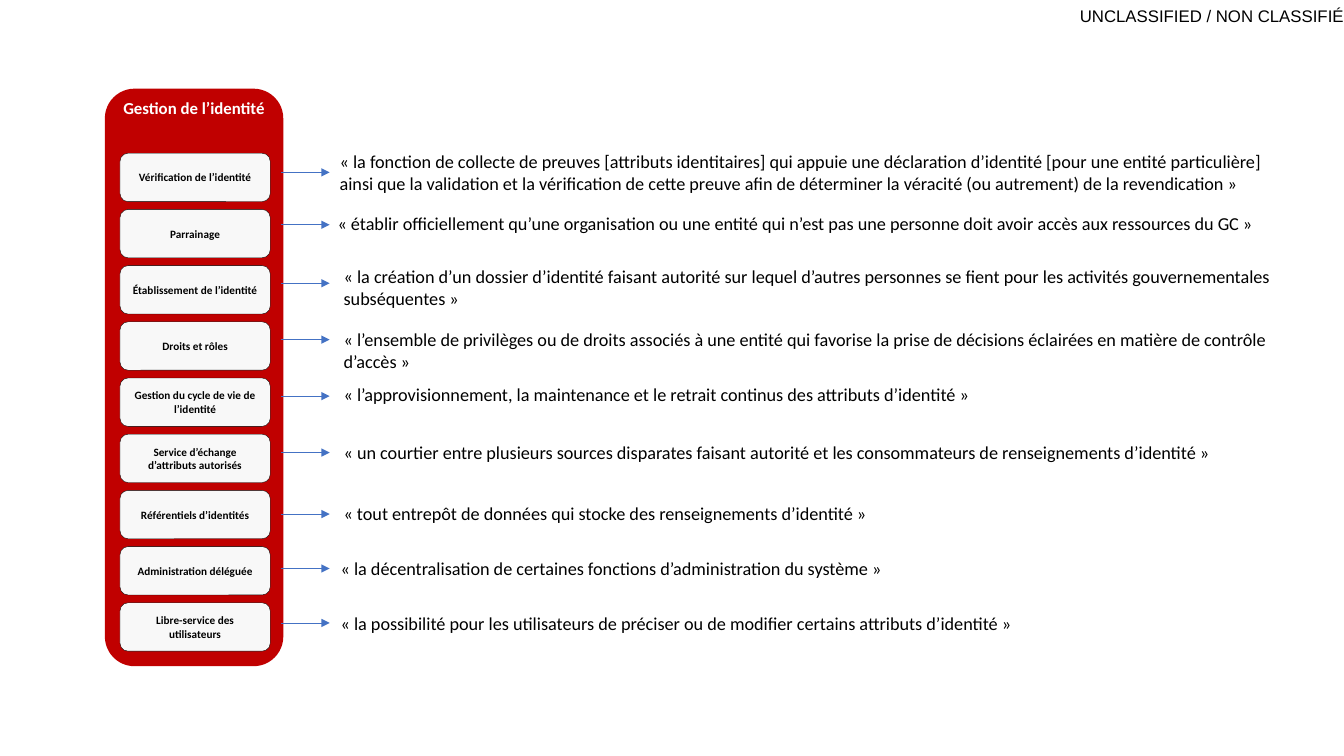
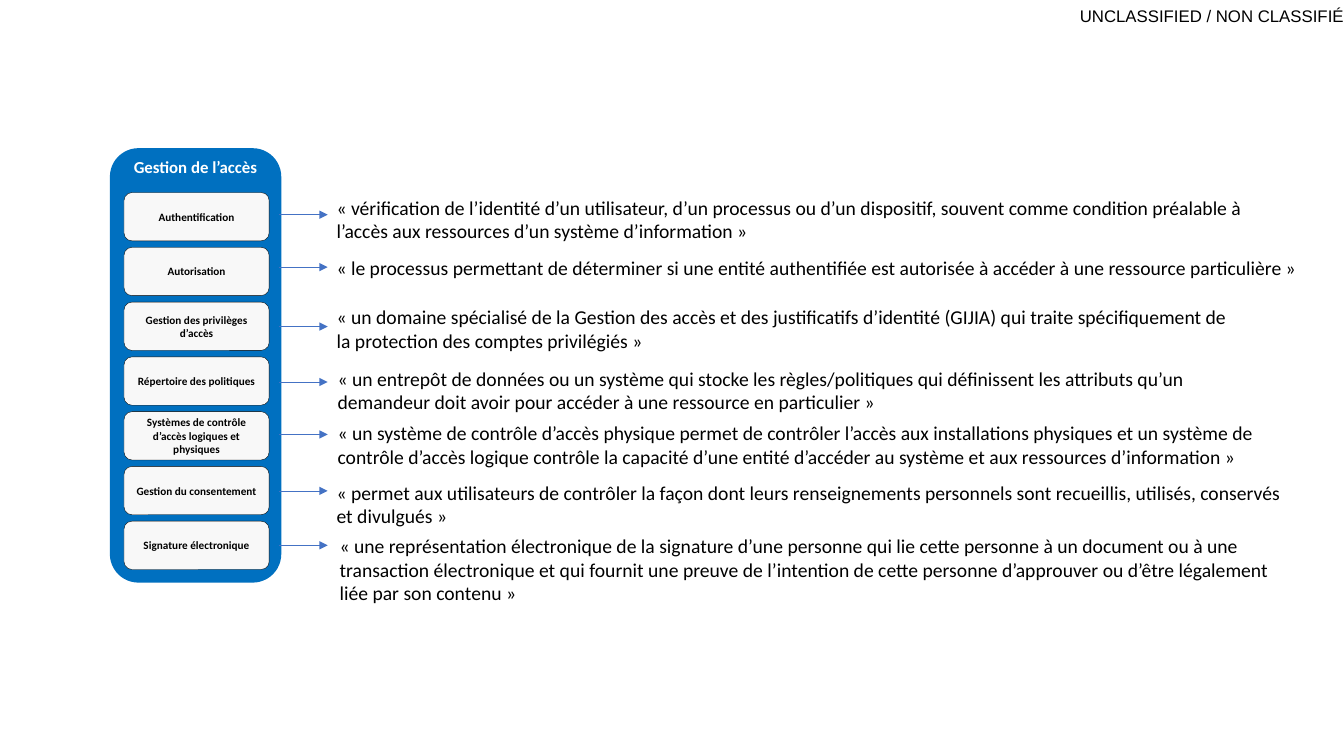
from lxml.etree import SubElement
from pptx import Presentation
from pptx.dml.color import RGBColor
from pptx.enum.shapes import MSO_CONNECTOR as CONNECTOR, MSO_SHAPE as SHAPE
from pptx.enum.text import MSO_ANCHOR as ANCHOR, MSO_AUTO_SIZE as AUTO_SIZE, PP_ALIGN as ALIGN
from pptx.oxml.ns import qn
from pptx.util import Inches, Pt

COLORS = {"black": "000000", "white": "FFFFFF", "box": "F8F8F8", "arrow": "4472C4",
          "identity": "C00000", "access": "0070C0"}
BOX_HEIGHT = 0.48
ARROW_LENGTH = 0.48
INSET = 0.1

# Each row: label, definition, number of lines, text left, top and width, arrow height.
PANELS = [
    {
        "title": "Gestion de l’identité", "color": "identity", "size": 13,
        "panel": (1.04, 0.88, 1.77, 5.73), "box_left": 1.19, "box_width": 1.49,
        "first_top": 1.52, "last_top": 5.98, "arrow_left": 2.79,
        "rows": [
            ("Vérification de l’identité",
             "la fonction de collecte de preuves [attributs identitaires] qui appuie une déclaration "
             "d’identité [pour une entité particulière] ainsi que la validation et la vérification de "
             "cette preuve afin de déterminer la véracité (ou autrement) de la revendication",
             2, 3.27, 1.44, 9.51, 1.71),
            ("Parrainage",
             "établir officiellement qu’une organisation ou une entité qui n’est pas une personne doit "
             "avoir accès aux ressources du GC",
             1, 3.25, 2.06, 9.44, 2.23),
            ("Établissement de l’identité",
             "la création d’un dossier d’identité faisant autorité sur lequel d’autres personnes se "
             "fient pour les activités gouvernementales subséquentes",
             2, 3.31, 2.58, 9.51, 2.81),
            ("Droits et rôles",
             "l’ensemble de privilèges ou de droits associés à une entité qui favorise la prise de "
             "décisions éclairées en matière de contrôle d’accès",
             2, 3.31, 3.21, 9.58, 3.37),
            ("Gestion du cycle de vie de l’identité",
             "l’approvisionnement, la maintenance et le retrait continus des attributs d’identité",
             1, 3.31, 3.75, 9.08, 3.93),
            ("Service d’échange d’attributs autorisés",
             "un courtier entre plusieurs sources disparates faisant autorité et les consommateurs de "
             "renseignements d’identité",
             1, 3.31, 4.33, 9.08, 4.49),
            ("Référentiels d’identités",
             "tout entrepôt de données qui stocke des renseignements d’identité",
             1, 3.31, 4.93, 6.67, 5.1),
            ("Administration déléguée",
             "la décentralisation de certaines fonctions d’administration du système",
             1, 3.28, 5.48, 9.08, 5.64),
            ("Libre-service des utilisateurs",
             "la possibilité pour les utilisateurs de préciser ou de modifier certains attributs d’identité",
             1, 3.28, 6.03, 9.08, 6.18),
        ],
    },
    {
        "title": "Gestion de l’accès", "color": "access", "size": 14,
        "panel": (1.09, 1.47, 1.7, 4.31), "box_left": 1.23, "box_width": 1.44,
        "first_top": 1.91, "last_top": 5.17, "arrow_left": 2.77,
        "rows": [
            ("Authentification",
             "vérification de l’identité d’un utilisateur, d’un processus ou d’un dispositif, souvent "
             "comme condition préalable à l’accès aux ressources d’un système d’information",
             2, 3.24, 1.89, 9.37, 2.13),
            ("Autorisation",
             "le processus permettant de déterminer si une entité authentifiée est autorisée à accéder "
             "à une ressource particulière",
             1, 3.24, 2.49, 10.03, 2.65),
            ("Gestion des privilèges d’accès",
             "un domaine spécialisé de la Gestion des accès et des justificatifs d’identité (GIJIA) qui "
             "traite spécifiquement de la protection des comptes privilégiés",
             2, 3.24, 2.98, 9.08, 3.24),
            ("Répertoire des politiques",
             "un entrepôt de données ou un système qui stocke les règles/politiques qui définissent les "
             "attributs qu’un demandeur doit avoir pour accéder à une ressource en particulier",
             2, 3.25, 3.59, 9.08, 3.79),
            ("Systèmes de contrôle d’accès logiques et physiques",
             "un système de contrôle d’accès physique permet de contrôler l’accès aux installations "
             "physiques et un système de contrôle d’accès logique contrôle la capacité d’une entité "
             "d’accéder au système et aux ressources d’information",
             2, 3.25, 4.13, 9.36, 4.31),
            ("Gestion du consentement",
             "permet aux utilisateurs de contrôler la façon dont leurs renseignements personnels sont "
             "recueillis, utilisés, conservés et divulgués",
             2, 3.24, 4.72, 9.67, 4.87),
            ("Signature électronique",
             "une représentation électronique de la signature d’une personne qui lie cette personne à "
             "un document ou à une transaction électronique et qui fournit une preuve de l’intention de "
             "cette personne d’approuver ou d’être légalement liée par son contenu",
             3, 3.27, 5.25, 9.67, 5.41),
        ],
    },
]


def write(shape, text, size, color="black", font="Calibri", bold=False, align=ALIGN.LEFT,
          anchor=ANCHOR.TOP, insets=(INSET, INSET / 2)):
    """Fill a shape with one paragraph of wrapped text."""
    frame = shape.text_frame
    frame.word_wrap = True
    frame.vertical_anchor = anchor
    frame.margin_left = frame.margin_right = Inches(insets[0])
    frame.margin_top = frame.margin_bottom = Inches(insets[1])
    paragraph = frame.paragraphs[0]
    paragraph.text = text
    paragraph.alignment = align
    paragraph.font.name, paragraph.font.size, paragraph.font.bold = font, Pt(size), bold
    paragraph.font.color.rgb = RGBColor.from_string(COLORS[color])


def add_round_box(slide, place, fill, outline=None):
    """Add a flat rounded rectangle, with a hairline outline if one is named."""
    shape = slide.shapes.add_shape(SHAPE.ROUNDED_RECTANGLE, *map(Inches, place))
    shape.shadow.inherit = False
    shape.fill.solid()
    shape.fill.fore_color.rgb = RGBColor.from_string(COLORS[fill])
    if outline:
        shape.line.color.rgb = RGBColor.from_string(COLORS[outline])
        shape.line.width = Pt(0.25)
    else:
        shape.line.fill.background()
    return shape


presentation = Presentation()
presentation.slide_width, presentation.slide_height = Inches(13.33), Inches(7.5)

for panel in PANELS:
    slide = presentation.slides.add_slide(presentation.slide_layouts[6])
    marking = slide.shapes.add_textbox(Inches(10.31), 0, Inches(3.02), Inches(0.31))
    write(marking, "UNCLASSIFIED / NON CLASSIFIÉ", 12, font="Arial", align=ALIGN.RIGHT,
          anchor=ANCHOR.MIDDLE, insets=(0, 0))

    column = add_round_box(slide, panel["panel"], panel["color"])
    write(column, panel["title"], 12, "white", bold=True, align=ALIGN.CENTER, insets=(INSET / 2, 0))

    pitch = (panel["last_top"] - panel["first_top"]) / (len(panel["rows"]) - 1)
    for index, (label, definition, lines, left, top, width, arrow_y) in enumerate(panel["rows"]):
        box_top = panel["first_top"] + index * pitch
        box = add_round_box(slide, (panel["box_left"], box_top, panel["box_width"], BOX_HEIGHT),
                            "box", "black")
        write(box, label, 8, bold=True, align=ALIGN.CENTER, anchor=ANCHOR.MIDDLE)

        height = lines * panel["size"] * 1.2 / 72 + INSET
        text_box = slide.shapes.add_textbox(*map(Inches, (left, top, width, height)))
        write(text_box, f"«\u00a0{definition}\u00a0»", panel["size"])
        text_box.text_frame.auto_size = AUTO_SIZE.SHAPE_TO_FIT_TEXT

        start = panel["arrow_left"]
        arrow = slide.shapes.add_connector(
            CONNECTOR.STRAIGHT, *map(Inches, (start, arrow_y, start + ARROW_LENGTH, arrow_y)))
        arrow.line.color.rgb = RGBColor.from_string(COLORS["arrow"])
        arrow.line.width = Pt(0.5)
        SubElement(arrow.line._get_or_add_ln(), qn("a:tailEnd"), type="triangle")
        SubElement(arrow._element.spPr, qn("a:effectLst"))

presentation.save("out.pptx")
